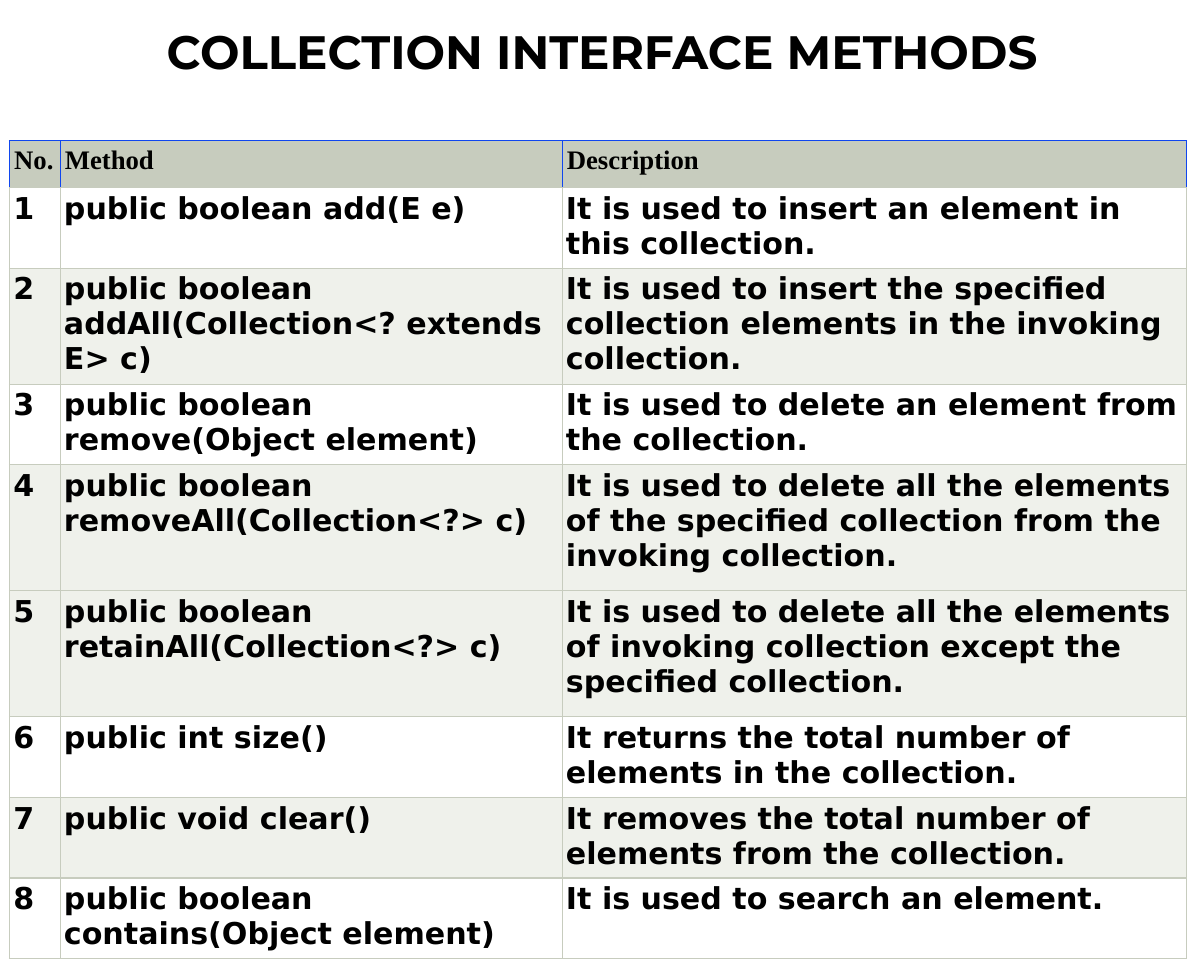
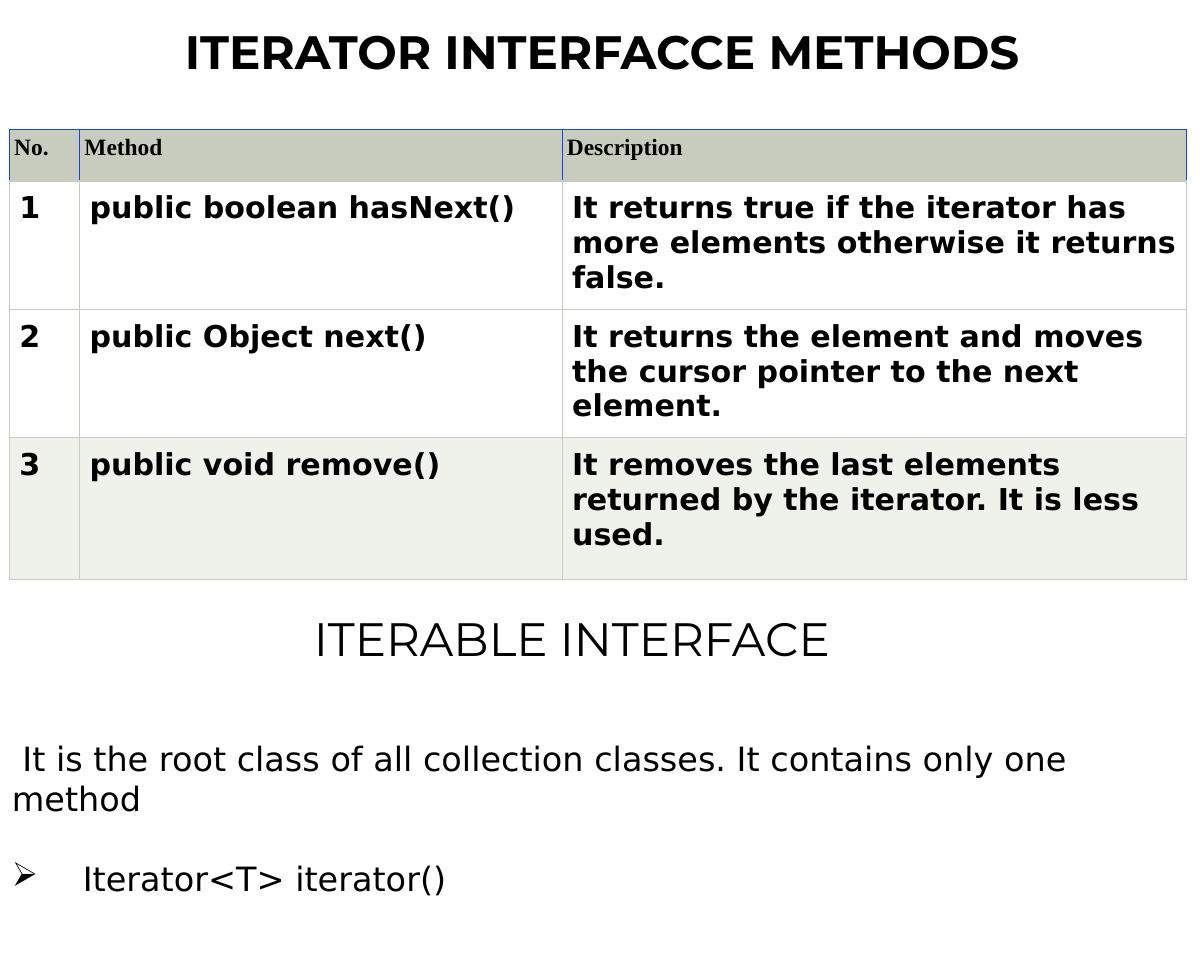
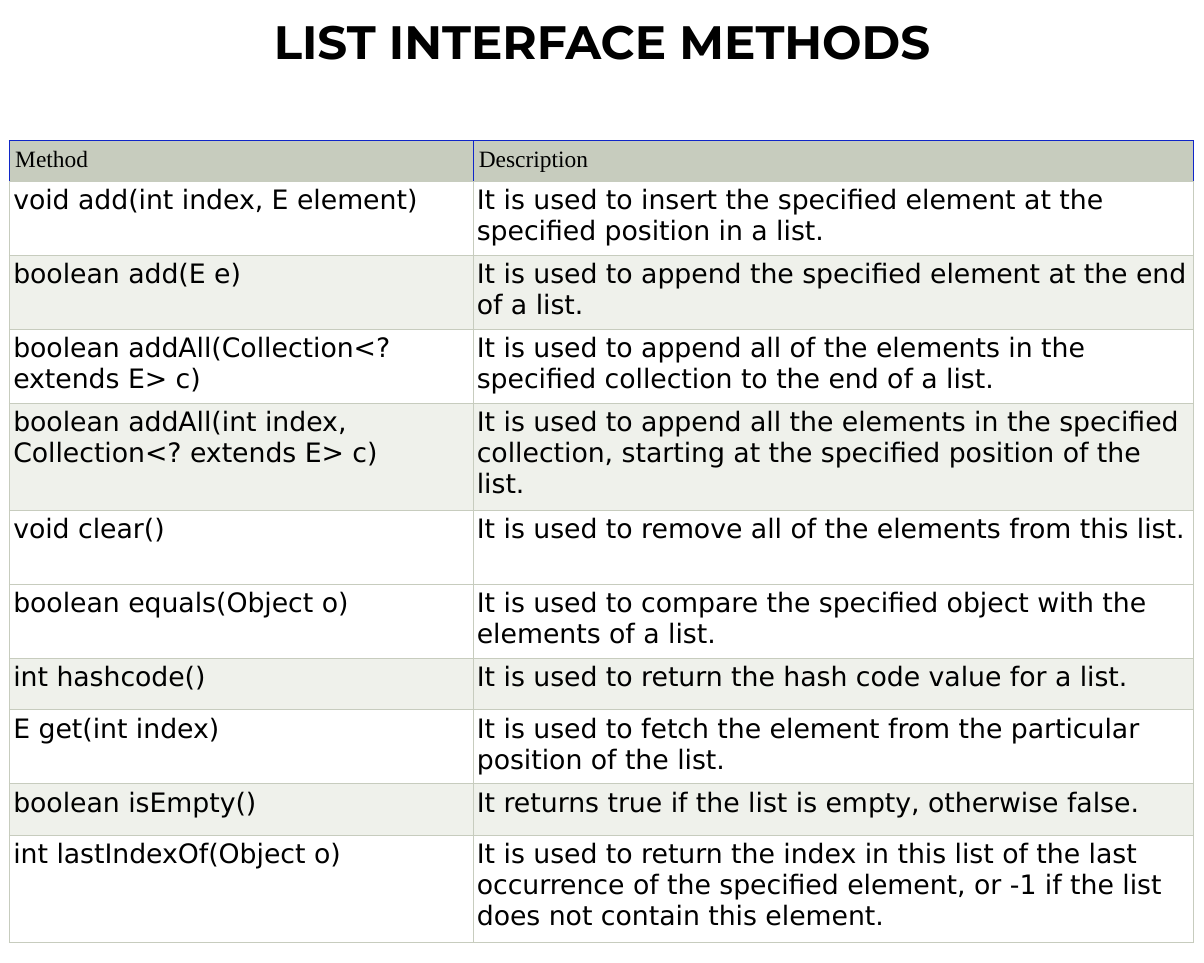
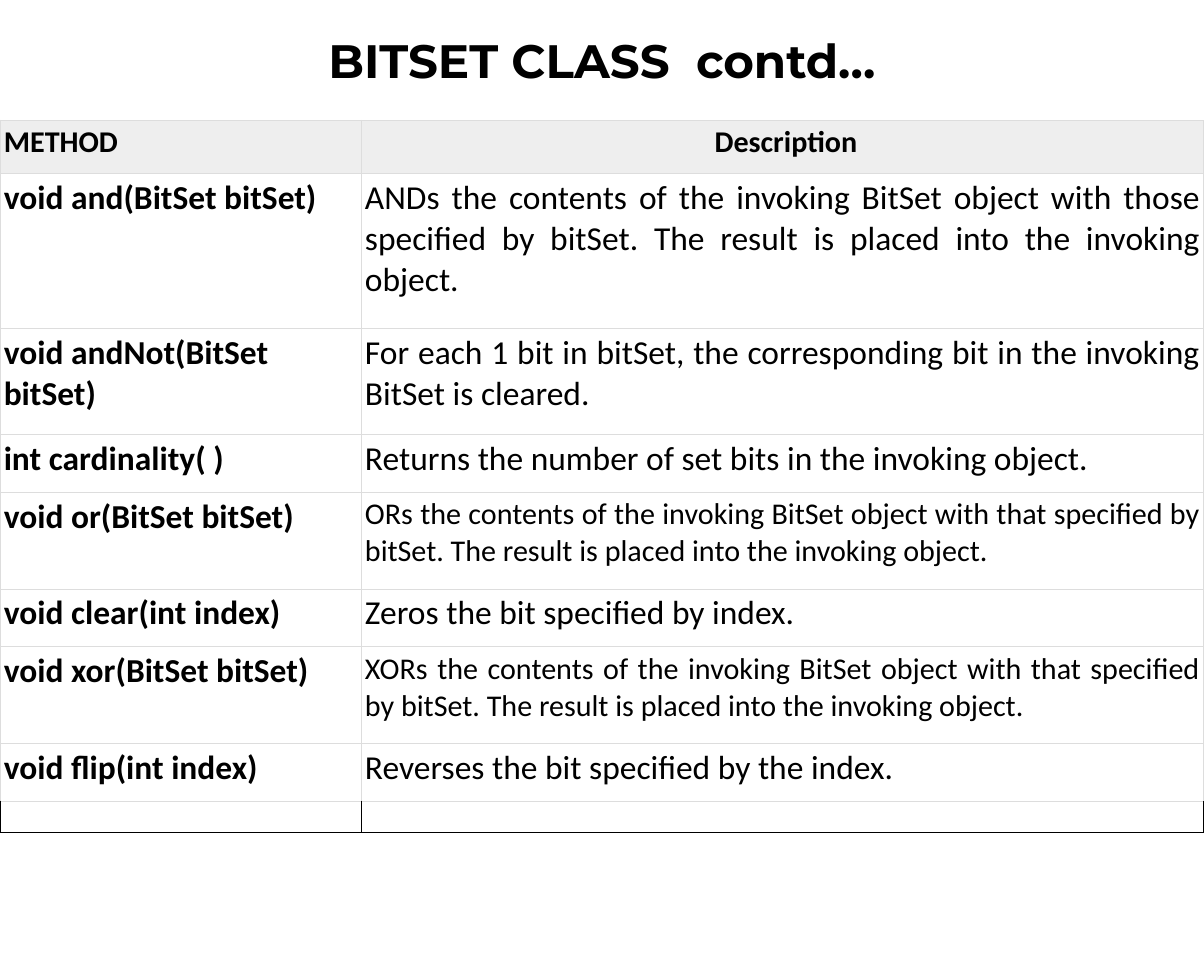
from dataclasses import dataclass, replace
from itertools import cycle

from lxml.etree import SubElement
from pptx import Presentation
from pptx.dml.color import RGBColor
from pptx.enum.text import MSO_ANCHOR as Anchor, PP_ALIGN as Align
from pptx.oxml import parse_xml
from pptx.oxml.ns import nsdecls, qn
from pptx.util import Cm, Pt

BLACK, WHITE = "000000", "FFFFFF"
SAGE, TINT = "C7CCBE", "EFF1EB"
BLUE, NAVY = "1046EF", "1026C8"
GREY, PALE = "DDDDDD", "EEEEEE"
TITLE, SANS, SERIF, BODY = "Montserrat", "DejaVu Sans", "Times New Roman", "Calibri"


@dataclass(frozen=True)
class Look:
    """Style of a table cell; edges run left, right, top, bottom."""
    font: str
    size: int
    bold: bool = False
    fill: str = WHITE
    inset: float = 0.08
    edges: tuple = (SAGE,) * 4
    align: Align = Align.LEFT


def color(text):
    """Turn a hex string into a colour."""
    return RGBColor.from_string(text)


def style(para, font, size, bold=False, align=Align.LEFT):
    """Set the font and alignment of a paragraph."""
    para.alignment = align
    face = para.font
    face.name, face.size, face.bold = font, Pt(size), bold
    face.color.rgb = color(BLACK)


def frame(slide, left, top, width, height):
    """Add a wrapping text box and return its text frame."""
    box = slide.shapes.add_textbox(Cm(left), Cm(top), Cm(width), Cm(height))
    box.text_frame.word_wrap = True
    return box.text_frame


def title(slide, text, left, top, width, height, bold=True):
    """Place a centred title line."""
    area = frame(slide, left, top, width, height)
    area.vertical_anchor = Anchor.MIDDLE
    area.text = text
    style(area.paragraphs[0], TITLE, 28, bold, Align.CENTER)


def border(cell, edges):
    """Draw the four sides of a cell."""
    props = cell._tc.get_or_add_tcPr()
    for spot, (side, tone) in enumerate(zip("LRTB", edges)):
        props.insert(spot, parse_xml(
            f'<a:ln{side} {nsdecls("a")} w="9525"><a:solidFill>'
            f'<a:srgbClr val="{tone}"/></a:solidFill></a:ln{side}>'))


def put(cell, text, look):
    """Fill one table cell with styled text."""
    cell.margin_left = cell.margin_right = Cm(look.inset)
    cell.margin_top = cell.margin_bottom = Cm(look.inset)
    cell.fill.solid()
    cell.fill.fore_color.rgb = color(look.fill)
    border(cell, look.edges)
    cell.text = text
    para = cell.text_frame.paragraphs[0]
    style(para, look.font, look.size, look.bold, look.align)
    if not text:
        SubElement(para._p, qn("a:endParaRPr"), sz=str(look.size * 100))


def grid(slide, left, top, cols, rows):
    """Build a table from column widths and (height, looks, texts) rows."""
    high = sum(row[0] for row in rows)
    table = slide.shapes.add_table(len(rows), len(cols), Cm(left), Cm(top),
                                   Cm(sum(cols)), Cm(high)).table
    table.first_row = table.horz_banding = False
    for col, width in zip(table.columns, cols):
        col.width = Cm(width)
    for row, (height, looks, texts) in zip(table.rows, rows):
        row.height = Cm(height)
        for cell, text, look in zip(row.cells, texts, cycle(looks)):
            put(cell, text, look)


def intro(slide, left, top, width, height):
    """Place the note on the root interface with its bulleted method."""
    area = frame(slide, left, top, width, height)
    area.text = (" It is the root class of all collection classes. "
                 "It contains only one method\nIterator<T> iterator()")
    note, item = area.paragraphs
    props = item._p.get_or_add_pPr()
    props.set("marL", str(Cm(1.5)))
    props.set("indent", str(-Cm(1.5)))
    SubElement(props, qn("a:buChar"), char="➢")
    item.space_before = Pt(24)
    for para in (note, item):
        style(para, SANS, 20)


def heads(size, edge, inset, bold):
    """Give the look of a sage header row."""
    return (Look(SERIF, size, bold, SAGE, inset, (edge, edge, edge, SAGE)),)


def bands(look):
    """Give the white and the tinted row looks."""
    return (look,), (replace(look, fill=TINT),)


def group(slide):
    """Fill the slide on collection methods."""
    title(slide, "COLLECTION INTERFACE METHODS", 1.9, 0.23, 21.6, 1.68)
    plain, tint = bands(Look(SANS, 18, True))
    grid(slide, 0.2, 2.97, (1.07, 10.59, 13.18), [
        (0.99, heads(16, BLUE, 0.1, True), ("No.", "Method", "Description")),
        (1.7, plain, ("1", "public boolean add(E e)",
                      "It is used to insert an element in this collection.")),
        (2.36, tint, ("2", "public boolean addAll(Collection<? extends E> c)",
                      "It is used to insert the specified collection elements in the invoking collection.")),
        (1.7, plain, ("3", "public boolean remove(Object element)",
                      "It is used to delete an element from the collection.")),
        (2.66, tint, ("4", "public boolean removeAll(Collection<?> c)",
                      "It is used to delete all the elements of the specified collection from the invoking collection.")),
        (2.66, tint, ("5", "public boolean retainAll(Collection<?> c)",
                      "It is used to delete all the elements of invoking collection except the specified collection.")),
        (1.7, plain, ("6", "public int size()",
                      "It returns the total number of elements in the collection.")),
        (1.7, tint, ("7", "public void clear()",
                     "It removes the total number of elements from the collection.")),
        (1.7, plain, ("8", "public boolean contains(Object element)",
                      "It is used to search an element.")),
    ])


def walker(slide):
    """Fill the slide on iterator methods and the iterable interface."""
    title(slide, "ITERATOR INTERFACCE METHODS", 1.9, 0.23, 21.6, 1.68)
    plain, tint = bands(Look(SANS, 18, True, inset=0.21))
    grid(slide, 0.2, 2.74, (1.48, 10.18, 13.18), [
        (1.08, heads(14, BLUE, 0.1, True), ("No.", "Method", "Description")),
        (2.64, plain, ("1", "public boolean hasNext()",
                       "It returns true if the iterator has more elements otherwise it returns false.")),
        (2.64, plain, ("2", "public Object next()",
                       "It returns the element and moves the cursor pointer to the next element.")),
        (3, tint, ("3", "public void remove()",
                   "It removes the last elements returned by the iterator. It is less used.")),
    ])
    title(slide, "ITERABLE INTERFACE", 0.85, 12.73, 22.43, 1.45, False)
    intro(slide, 0, 15.44, 25.4, 3.68)


def listing(slide):
    """Fill the slide on list methods."""
    title(slide, "LIST INTERFACE METHODS", 1.9, 0.03, 21.6, 1.68)
    plain, tint = bands(Look(SANS, 16))
    grid(slide, 0.2, 2.97, (9.78, 15.19), [
        (0.86, heads(14, NAVY, 0.12, False), ("Method", "Description")),
        (1.56, plain, ("void add(int index, E element)",
                       "It is used to insert the specified element at the specified position in a list.")),
        (1.56, tint, ("boolean add(E e)",
                      "It is used to append the specified element at the end of a list.")),
        (1.56, plain, ("boolean addAll(Collection<? extends E> c)",
                       "It is used to append all of the elements in the specified collection to the end of a list.")),
        (2.26, tint, ("boolean addAll(int index, Collection<? extends E> c)",
                      "It is used to append all the elements in the specified collection, starting at the "
                      "specified position of the list.")),
        (1.56, plain, ("void clear()",
                       "It is used to remove all of the elements from this list.")),
        (1.56, plain, ("boolean equals(Object o)",
                       "It is used to compare the specified object with the elements of a list.")),
        (1.09, tint, ("int hashcode()",
                      "It is used to return the hash code value for a list.")),
        (1.56, plain, ("E get(int index)",
                       "It is used to fetch the element from the particular position of the list.")),
        (1.09, tint, ("boolean isEmpty()",
                      "It returns true if the list is empty, otherwise false.")),
        (2.26, plain, ("int lastIndexOf(Object o)",
                       "It is used to return the index in this list of the last occurrence of the specified "
                       "element, or -1 if the list does not contain this element.")),
    ])


def bits(slide):
    """Fill the slide on bit set methods."""
    title(slide, "BITSET CLASS  contd…", 1.9, 0.43, 21.6, 1.68)
    name = Look(BODY, 20, True, edges=(GREY,) * 4)
    text = replace(name, bold=False, align=Align.JUSTIFY)
    head = replace(name, size=18, fill=PALE)
    large, small = (name, text), (name, replace(text, size=18))
    blank = replace(name, size=10, edges=(BLACK, BLACK, GREY, BLACK))
    grid(slide, 0, 2.54, (7.62, 17.78), [
        (1.12, (head, replace(head, align=Align.CENTER)), ("METHOD", " Description")),
        (3.27, large, ("void and(BitSet bitSet)",
                       "ANDs the contents of the invoking BitSet object with those specified by bitSet. "
                       "The result is placed into the invoking object.")),
        (2.24, large, ("void andNot(BitSet bitSet)",
                       "For each 1 bit in bitSet, the corresponding bit in the invoking BitSet is cleared.")),
        (1.22, large, ("int cardinality( )",
                       "Returns the number of set bits in the invoking object.")),
        (2.04, small, ("void or(BitSet bitSet)",
                       "ORs the contents of the invoking BitSet object with that specified by bitSet. "
                       "The result is placed into the invoking object.")),
        (1.22, large, ("void clear(int index)", "Zeros the bit specified by index.")),
        (2.04, small, ("void xor(BitSet bitSet)",
                       "XORs the contents of the invoking BitSet object with that specified by bitSet. "
                       "The result is placed into the invoking object.")),
        (1.22, large, ("void flip(int index)", "Reverses the bit specified by the index.")),
        (0.66, (blank,), ("", "")),
    ])


def main():
    """Build and save the deck."""
    deck = Presentation()
    deck.slide_width, deck.slide_height = Cm(25.4), Cm(20.32)
    for fill in (group, walker, listing, bits):
        fill(deck.slides.add_slide(deck.slide_layouts[6]))
    deck.save("out.pptx")


if __name__ == "__main__":
    main()
